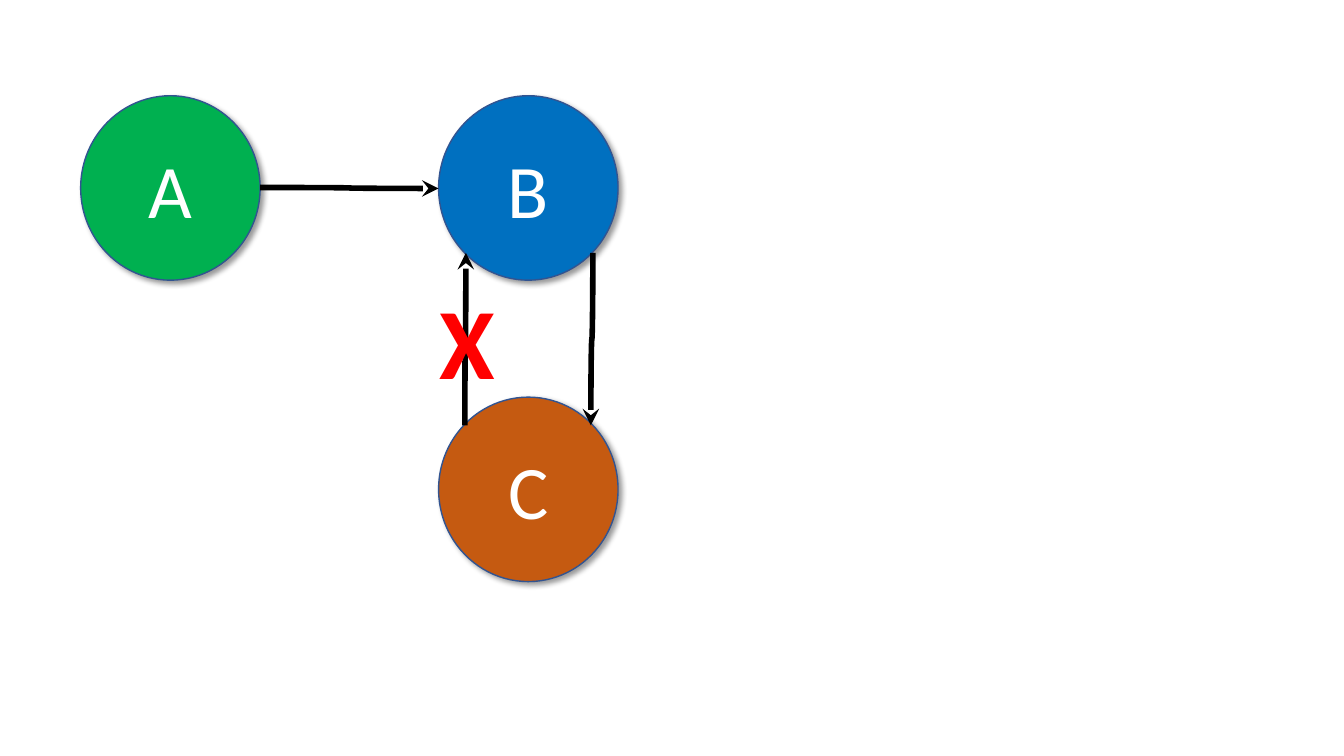
from lxml import etree
from pptx import Presentation
from pptx.dml.color import RGBColor
from pptx.enum.shapes import MSO_CONNECTOR, MSO_SHAPE
from pptx.enum.text import MSO_ANCHOR, MSO_AUTO_SIZE, PP_ALIGN
from pptx.oxml import parse_xml
from pptx.oxml.ns import nsdecls, qn
from pptx.util import Inches, Pt

OVAL = MSO_SHAPE.OVAL
CURVE = MSO_CONNECTOR.CURVE
MIDDLE = MSO_ANCHOR.MIDDLE
CENTER = PP_ALIGN.CENTER
FIT_SHAPE = MSO_AUTO_SIZE.SHAPE_TO_FIT_TEXT

GREEN = RGBColor(0x00, 0xB0, 0x50)
BLUE = RGBColor(0x00, 0x70, 0xC0)
ORANGE = RGBColor(0xC5, 0x5A, 0x11)
OUTLINE = RGBColor(0x32, 0x54, 0x91)
WHITE = RGBColor(0xFF, 0xFF, 0xFF)
BLACK = RGBColor(0x00, 0x00, 0x00)
RED = RGBColor(0xFF, 0x00, 0x00)

FONT = "Calibri"
NODE_W, NODE_H = 1.78, 1.83
SHADOW = (
    f'<a:effectLst {nsdecls("a")}>'
    '<a:outerShdw blurRad="50800" dist="38100" dir="2400000" algn="tl" rotWithShape="0">'
    '<a:srgbClr val="000000"><a:alpha val="40000"/></a:srgbClr>'
    '</a:outerShdw></a:effectLst>'
)


def write(paragraph, text, size, color, bold=False):
    paragraph.text = text
    paragraph.font.name = FONT
    paragraph.font.size = Pt(size)
    paragraph.font.color.rgb = color
    paragraph.font.bold = bold


def add_node(slide, label, left, top, color):
    node = slide.shapes.add_shape(
        OVAL, Inches(left), Inches(top), Inches(NODE_W), Inches(NODE_H))
    node.fill.solid()
    node.fill.fore_color.rgb = color
    node.line.color.rgb = OUTLINE
    node.line.width = Pt(1)
    node._element.spPr.append(parse_xml(SHADOW))
    node.text_frame.vertical_anchor = MIDDLE
    paragraph = node.text_frame.paragraphs[0]
    paragraph.alignment = CENTER
    write(paragraph, label, 54, WHITE)


def add_arrow(slide, start, end, vertical=False):
    """A vertical curve is laid out flat, then turned 90 degrees about its centre."""
    if vertical:
        mid_x, mid_y = (start[0] + end[0]) / 2, (start[1] + end[1]) / 2
        start, end = [(mid_x + y - mid_y, mid_y - x + mid_x) for x, y in (start, end)]
    arrow = slide.shapes.add_connector(CURVE, *map(Inches, start + end))
    arrow.line.color.rgb = BLACK
    arrow.line.width = Pt(4)
    properties = arrow._element.spPr
    if vertical:
        properties.find(qn("a:xfrm")).set("rot", "5400000")
    etree.SubElement(properties.find(qn("a:ln")), qn("a:tailEnd"), type="stealth")
    etree.SubElement(properties, qn("a:effectLst"))


def add_cross(slide, left, top, width, height):
    cross = slide.shapes.add_textbox(*map(Inches, (left, top, width, height)))
    cross.text_frame.word_wrap = False
    cross.text_frame.auto_size = FIT_SHAPE
    write(cross.text_frame.paragraphs[0], "X", 72, RED, bold=True)


def main():
    deck = Presentation()
    deck.slide_width, deck.slide_height = Inches(13.33), Inches(7.5)
    slide = deck.slides.add_slide(deck.slide_layouts[6])

    # Nodes
    add_node(slide, "A", 0.8, 0.95, GREEN)
    add_node(slide, "B", 4.35, 0.95, BLUE)
    add_node(slide, "C", 4.35, 3.94, ORANGE)

    # Links: A to B, C to B, B to C
    add_arrow(slide, (2.58, 1.86), (4.35, 1.87))
    add_arrow(slide, (4.61, 4.22), (4.62, 2.51), vertical=True)
    add_arrow(slide, (5.88, 2.51), (5.86, 4.22), vertical=True)

    # Mark on the blocked link from C to B
    add_cross(slide, 4.26, 2.72, 0.76, 1.31)

    deck.save("out.pptx")


main()
